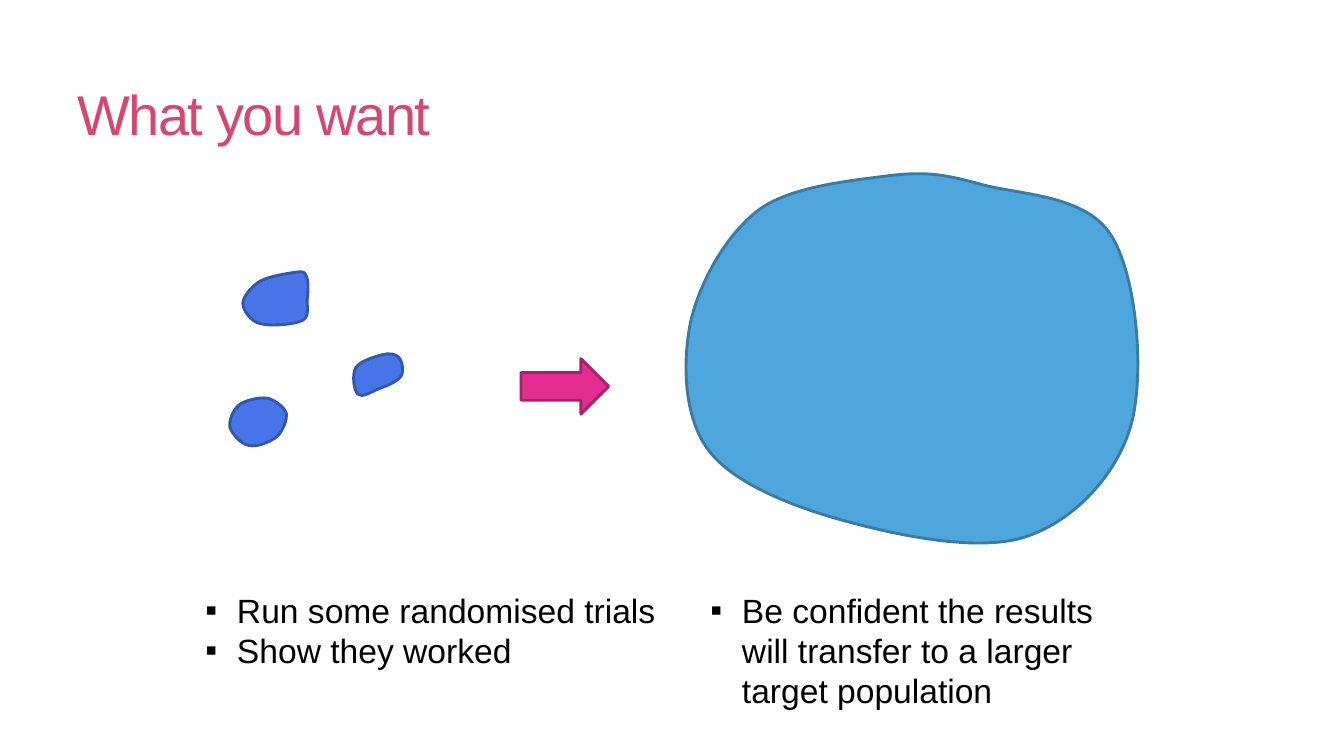
from lxml.etree import SubElement
from pptx import Presentation
from pptx.dml.color import RGBColor
from pptx.enum.shapes import MSO_SHAPE
from pptx.enum.text import MSO_ANCHOR, MSO_AUTO_SIZE
from pptx.oxml.ns import qn
from pptx.util import Pt

HUES = {
    "title": "D54773", "text": "000000",
    "trial": "4775E7", "trial_edge": "3557AB",
    "target": "4EA6DC", "target_edge": "3A7BA3",
    "arrow": "E32D91", "arrow_edge": "A8216B",
}
UNIT = 0.72  # points per outline unit

# Box and outline: start point, then two handles and an end point per curve
TRIALS = [
    ((173.5, 194.4, 46.1, 38.2), [
        (53, 0), (46, 1), (26, 4), (17, 9), (9, 14), (0, 24), (0, 31),
        (0, 38), (8, 49), (17, 51), (27, 54), (51, 52), (59, 48),
        (67, 44), (63, 33), (64, 26), (65, 18), (65, 8), (63, 4),
        (61, 0), (61, -1), (53, 0)]),
    ((164.2, 284.4, 40.3, 33.8), [
        (37, 0), (29, -1), (15, 2), (9, 7), (3, 12), (-1, 22), (0, 29),
        (2, 35), (11, 46), (19, 47), (27, 49), (41, 43), (47, 38),
        (53, 32), (57, 21), (56, 15), (54, 9), (45, 2), (37, 0)]),
    ((252.7, 252.7, 35.3, 29.5), [
        (45, 4), (42, 0), (35, -1), (28, 1), (21, 3), (6, 7), (2, 14),
        (-2, 20), (0, 37), (4, 40), (8, 44), (17, 38), (24, 35),
        (32, 32), (43, 28), (47, 22), (50, 17), (48, 7), (45, 4)]),
]
TARGET = ((490.3, 124.6, 322.6, 263.5), [
    (293, 10), (256, 0), (239, -3), (203, 1), (166, 6), (105, 11), (72, 35),
    (39, 60), (13, 107), (4, 147), (-4, 187), (-3, 242), (23, 275),
    (49, 308), (109, 331), (162, 345), (214, 359), (292, 375), (338, 359),
    (385, 343), (427, 298), (441, 249), (455, 199), (447, 100), (421, 60),
    (396, 20), (329, 20), (293, 10)])


def hue(name):
    return RGBColor.from_string(HUES[name])


def paint(shape, name):
    shape.shadow.inherit = False
    shape.fill.solid()
    shape.fill.fore_color.rgb = hue(name)
    shape.line.color.rgb = hue(name + "_edge")
    shape.line.width = Pt(2.08)


def add_blob(slide, box, dots, name):
    left, top, width, height = map(Pt, box)
    dots = [(Pt(x * UNIT), Pt(y * UNIT)) for x, y in dots]
    pen = slide.shapes.build_freeform(*dots[0])
    pen.add_line_segments(dots[3::3], close=True)
    blob = pen.convert_to_shape(left, top)
    blob.left, blob.top, blob.width, blob.height = left, top, width, height
    paint(blob, name)

    # Turn the straight sides into curves within the box
    route = next(blob._element.iter(qn("a:path")))
    route.set("w", str(width))
    route.set("h", str(height))
    start, *sides, close = list(route)
    for side in sides:
        side.tag = qn("a:cubicBezTo")
    for i, step in enumerate([start] + sides):
        for point in list(step):
            step.remove(point)
        for x, y in dots[max(0, 3 * i - 2):3 * i + 1]:
            SubElement(step, qn("a:pt"), x=str(x), y=str(y))


def add_run(para, words, size, name):
    run = para.add_run()
    run.text = words
    run.font.name = "Arial"
    run.font.size = Pt(size)
    run.font.color.rgb = hue(name)
    return run


def add_title(slide, box, words):
    frame = slide.shapes.add_textbox(*map(Pt, box)).text_frame
    frame.word_wrap = True
    frame.vertical_anchor = MSO_ANCHOR.MIDDLE
    run = add_run(frame.paragraphs[0], words, 40, "title")
    run.font._element.set("spc", "-100")


def add_list(slide, box, items, wrap):
    frame = slide.shapes.add_textbox(*map(Pt, box)).text_frame
    frame.word_wrap = wrap
    frame.auto_size = MSO_AUTO_SIZE.SHAPE_TO_FIT_TEXT
    for i, words in enumerate(items):
        para = frame.add_paragraph() if i else frame.paragraphs[0]
        props = para._p.get_or_add_pPr()
        props.set("marL", str(Pt(22.5)))
        props.set("indent", str(-Pt(22.5)))
        SubElement(props, qn("a:buFont")).set("typeface", "Arial")
        SubElement(props, qn("a:buChar")).set("char", "▪")
        add_run(para, words, 24, "text")


def add_arrow(slide, box):
    paint(slide.shapes.add_shape(MSO_SHAPE.RIGHT_ARROW, *map(Pt, box)), "arrow")


def main():
    deck = Presentation()
    deck.slide_width, deck.slide_height = Pt(960), Pt(540)
    slide = deck.slides.add_slide(deck.slide_layouts[6])

    add_title(slide, (48, 42, 864, 78), "What you want")

    # Small trials lead to a large target population
    for box, dots in TRIALS:
        add_blob(slide, box, dots, "trial")
    add_blob(slide, *TARGET, "target")
    add_arrow(slide, (372.2, 256.2, 62.6, 39.6))

    # Captions
    add_list(slide, (139.7, 417.6, 339, 65.4),
             ["Run some randomised trials", "Show they worked"], False)
    add_list(slide, (500.4, 417.6, 325.4, 94.5),
             ["Be confident the results will transfer to a larger target population"], True)

    deck.save("out.pptx")


if __name__ == "__main__":
    main()
